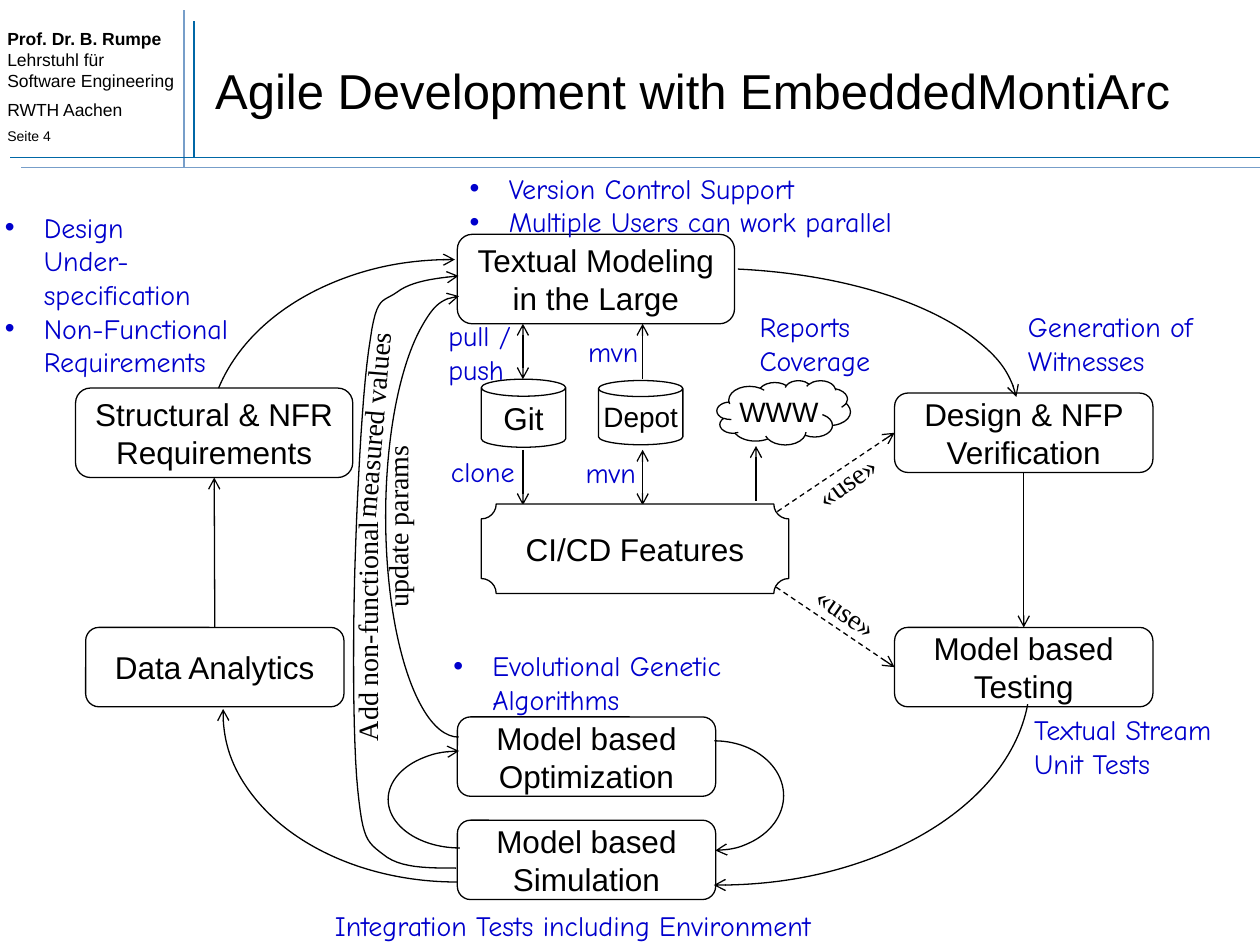
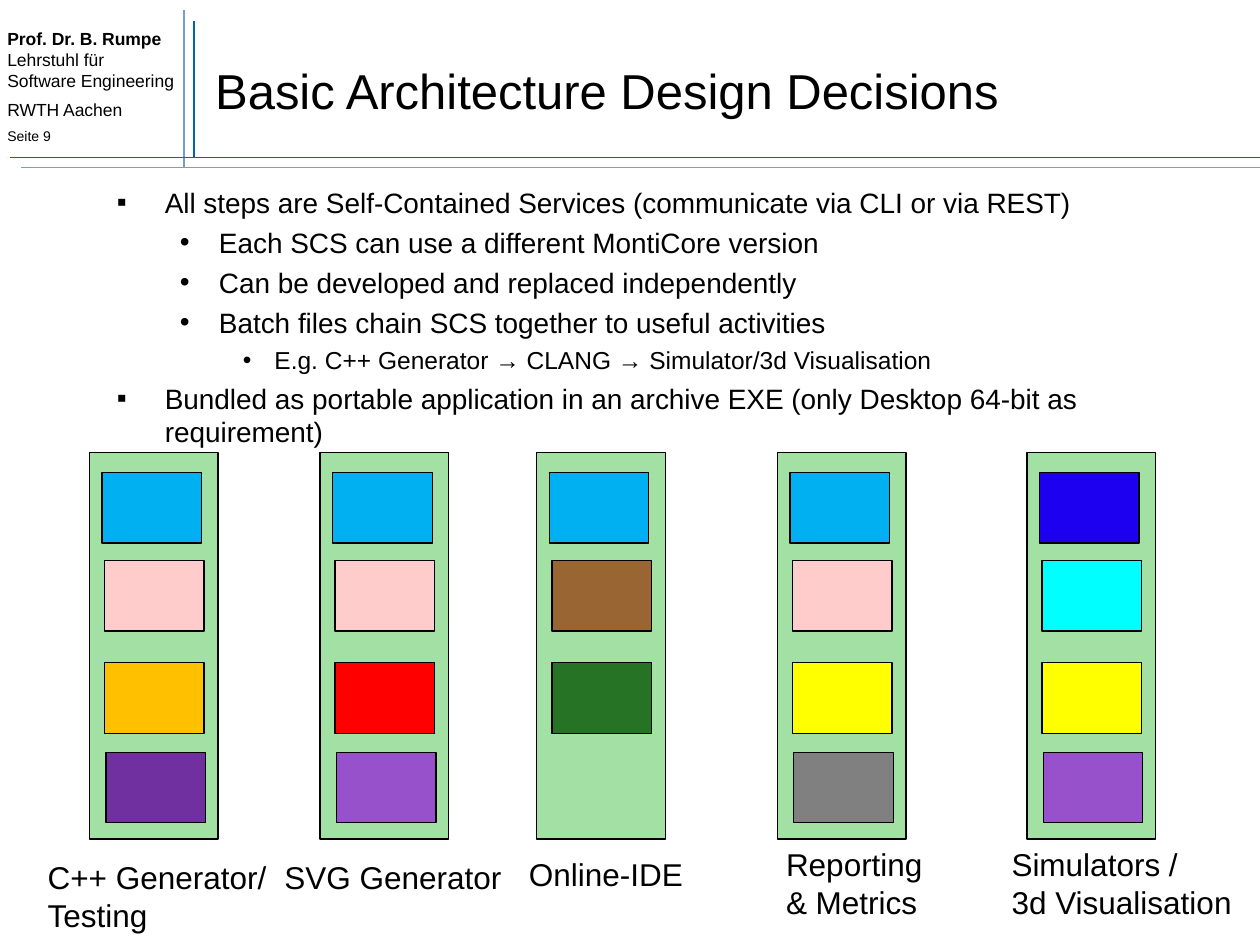
"""Build two lecture slides on agile modeling and its service design."""
import copy
from dataclasses import dataclass
from typing import Any, Optional

import lxml.etree
import pptx
import pptx.dml.color
import pptx.enum.dml
import pptx.enum.shapes
import pptx.enum.text
import pptx.oxml.ns
import pptx.util

HUES = {
    "ink": "000000", "white": "FFFFFF", "note": "0000CC",
    "deep": "0067A6", "pale": "779EC9", "frame": "A3E0A3",
    "sky": "00B0F0", "rose": "FFCCCC", "amber": "FFC000", "plum": "7030A0",
    "red": "FF0000", "lilac": "9751CB", "brown": "996633", "green": "267326",
    "yellow": "FFFF00", "gray": "808080", "blue": "1D00F0", "cyan": "00FFFF",
}
SANS, HAND, SERIF = "Arial", "Comic Neue", "Times New Roman"
KIND = pptx.enum.shapes.MSO_SHAPE
MID = pptx.enum.text.PP_ALIGN.CENTER
Point = tuple[float, float]
Area = tuple[float, float, float, float]


@dataclass
class Node:
    words: str
    at: Area
    kind: Any = KIND.ROUNDED_RECTANGLE
    size: int = 18
    wrap: bool = True
    fill: Optional[str] = None


@dataclass
class Note:
    words: tuple[str, ...]
    at: Area
    face: str = HAND
    hue: str = "note"
    size: int = 16
    turn: float = 0
    bullet: str = ""


@dataclass
class Arc:
    at: Area
    start: float
    end: float
    turn: int = 0


@dataclass
class Link:
    start: Point
    end: Point
    ends: str = "tail"
    dash: bool = False
    source: Optional[tuple[str, int]] = None
    target: Optional[tuple[str, int]] = None


@dataclass
class Stack:
    left: float
    tiles: tuple[str, ...]
    label: str
    at: Area


NODES = {
    "model": Node("Textual Modeling\nin the Large", (3.63, 1.86, 2.2, 0.71)),
    "test": Node("Model based Testing", (7.1, 4.98, 2.05, 0.63)),
    "needs": Node("Structural & NFR\nRequirements", (0.6, 3.08, 2.2, 0.71)),
    "run": Node("Model based Simulation", (3.63, 6.51, 2.05, 0.63)),
    "check": Node("Design & NFP Verification", (7.1, 3.12, 2.05, 0.63)),
    "tune": Node("Model based Optimization", (3.63, 5.69, 2.05, 0.63)),
    "data": Node("Data Analytics", (0.68, 4.98, 2.05, 0.63)),
    "depot": Node("Depot", (4.75, 3.02, 0.67, 0.51), KIND.CAN, 16, False),
    "git": Node("Git", (3.82, 3.01, 0.67, 0.54), KIND.CAN, 18, False),
    "web": Node("WWW", (5.69, 3.02, 1.06, 0.51), KIND.CLOUD, 16, False),
}
BUILD = Node("CI/CD Features", (3.82, 4, 2.44, 0.71), KIND.PLAQUE, fill="white")

ARCS = [
    Arc((5.12, 5.88, 1.1, 0.87), 162, 53.41),
    Arc((3.08, 5.96, 1.14, 0.77), 162, 53.41, 180),
    Arc((3.06, 2.35, 1.16, 3.5), 162, 54.05, 180),
    Arc((1.77, 4.32, 3.71, 2.68), 162, 0.62, 180),
    Arc((4.06, 2.91, 3.27, 4.96), 164.78, 0.62, 90),
    Arc((3.12, 2.13, 4.96, 2.27), 169.67, 214.41),
    Arc((2.14, 1.57, 2.89, 3.87), 169.75, 0.62, 270),
]

LINKS = [
    Link((1.7, 4.98), (1.7, 3.79), source=("data", 0), target=("needs", 2)),
    Link((8.13, 3.75), (8.13, 4.98), source=("check", 2), target=("test", 0)),
    Link((4.15, 2.57), (4.15, 3.01), "head tail"),
    Link((4.15, 3.57), (4.15, 4.01)),
    Link((5.1, 3.57), (5.1, 4.01), "head tail"),
    Link((5.1, 2.57), (5.1, 3.01), "head"),
    Link((6.11, 4.1), (7.1, 3.44), dash=True, target=("check", 1)),
    Link((6.1, 4.62), (7.1, 5.28), dash=True, target=("test", 1)),
    Link((6, 3.54), (6, 3.98), "head"),
]

CURVE = [
    (3.62, 6.89), (3.39, 6.89), (3.17, 6.89), (3.04, 6.78), (2.91, 6.68),
    (2.88, 6.66), (2.84, 6.27), (2.8, 5.87), (2.8, 5.02), (2.82, 4.42),
    (2.84, 3.82), (2.88, 3.04), (2.94, 2.69), (2.99, 2.34), (3.04, 2.4),
    (3.15, 2.32), (3.27, 2.23), (3.45, 2.21), (3.64, 2.19),
]

NOTES = [
    Note(("Version Control Support", "Multiple Users can work parallel"),
         (3.63, 1.31, 3.86, 0.64), bullet="•"),
    Note(("Textual Stream\nUnit Tests",), (8.11, 5.61, 1.93, 0.64)),
    Note(("Reports", "Coverage"), (5.93, 2.41, 1.15, 0.64)),
    Note(("Design\nUnder-\nspecification", "Non-Functional\nRequirements"),
         (-0.06, 1.62, 2.16, 1.45), bullet="•"),
    Note(("Generation of\nWitnesses",), (8.06, 2.41, 1.64, 0.64)),
    Note(("Evolutional Genetic\nAlgorithms",), (3.5, 5.1, 2.58, 0.64), bullet="•"),
    Note(("mvn",), (4.57, 2.61, 0.6, 0.37)),
    Note(("mvn",), (4.55, 3.57, 0.6, 0.37)),
    Note(("clone",), (3.48, 3.56, 0.74, 0.37)),
    Note(("pull /\npush",), (3.46, 2.48, 0.74, 0.64)),
    Note(("«use»",), (6.36, 3.63, 0.73, 0.37), SERIF, "ink", turn=324.1),
    Note(("«use»",), (6.36, 4.68, 0.73, 0.37), SERIF, "ink", turn=34.9),
    Note(("update params",), (2.4, 3.98, 1.51, 0.37), SERIF, "ink", turn=270),
    Note(("Add non-functional",), (1.93, 4.81, 1.97, 0.37), SERIF, "ink", turn=270),
    Note(("measured values",), (2.11, 3.17, 1.7, 0.37), SERIF, "ink", turn=274.7),
    Note(("Integration Tests including Environment",), (2.56, 7.16, 4.41, 0.37)),
]

POINTS = [
    (0, "All steps are Self-Contained Services (communicate via CLI or via REST)"),
    (1, "Each SCS can use a different MontiCore version"),
    (1, "Can be developed and replaced independently"),
    (1, "Batch files chain SCS together to useful activities"),
    (2, "E.g. C++ Generator → CLANG → Simulator/3d Visualisation"),
    (0, "Bundled as portable application in an archive EXE "
        "(only Desktop 64-bit as requirement)"),
]
LEVELS = [("▪", 0.38, 0.38, 16), ("•", 0.81, 0.31, 16), ("•", 1.25, 0.25, 14)]

STACKS = [
    Stack(0.71, ("sky", "rose", "amber", "plum"),
          "C++ Generator/\nTesting", (0.28, 6.76, 1.96, 0.71)),
    Stack(2.54, ("sky", "rose", "red", "lilac"),
          "SVG Generator", (2.16, 6.76, 1.94, 0.4)),
    Stack(4.26, ("sky", "brown", "green"),
          "Online-IDE", (4.1, 6.74, 1.44, 0.4)),
    Stack(6.17, ("sky", "rose", "yellow", "gray"),
          "Reporting\n& Metrics", (6.14, 6.66, 1.3, 0.71)),
    Stack(8.15, ("blue", "cyan", "yellow", "lilac"),
          "Simulators /\n3d Visualisation", (7.93, 6.66, 1.96, 0.71)),
]
SPOTS = [(0.1, 3.75), (0.12, 4.45), (0.12, 5.26), (0.13, 5.97)]


def inch(*sizes: float) -> list:
    return [pptx.util.Inches(size) for size in sizes]


def tint(name: str) -> Any:
    return pptx.dml.color.RGBColor.from_string(HUES[name])


def tag(base: Any, name: str, **values: str) -> None:
    lxml.etree.SubElement(base, pptx.oxml.ns.qn(name), **values)


def text(frame: Any, words: str, *, size: int = 16, face: str = SANS,
         hue: str = "ink", bold: bool = False, align: Any = None, gap: float = 0,
         bullet: str = "", left: float = 0, hang: float = 0, level: int = 0) -> None:
    first = frame.paragraphs[0]
    para = frame.add_paragraph() if first.runs else first
    para.text = words
    para.level = level
    if bullet:
        props = para._p.get_or_add_pPr()
        props.set("marL", str(pptx.util.Inches(left)))
        props.set("indent", str(pptx.util.Inches(-hang)))
        tag(props, "a:buFont", typeface=SANS)
        tag(props, "a:buChar", char=bullet)
    if para is not first:
        para.space_before = pptx.util.Pt(gap)
    if align is not None:
        para.alignment = align
    for run in para.runs:
        run.font.size, run.font.name = pptx.util.Pt(size), face
        run.font.bold = bold
        run.font.color.rgb = tint(hue)
    for mark in para._p.findall(pptx.oxml.ns.qn("a:br")):
        mark.append(copy.deepcopy(para.runs[0]._r.rPr))


def field(slide: Any, at: Area, wrap: bool = True) -> Any:
    box = slide.shapes.add_textbox(*inch(*at))
    box.text_frame.word_wrap = wrap
    return box


def stroke(line: Any, hue: str = "ink", width: float = 0.75,
           ends: str = "", dash: bool = False) -> None:
    line.color.rgb = tint(hue)
    line.width = pptx.util.Pt(width)
    if dash:
        line.dash_style = pptx.enum.dml.MSO_LINE.DASH
    for end in ends.split():
        tag(line._get_or_add_ln(), f"a:{end}End", type="arrow")


def style(shape: Any, fill: Optional[str] = None, ends: str = "") -> None:
    shape.shadow.inherit = False
    if fill:
        shape.fill.solid()
        shape.fill.fore_color.rgb = tint(fill)
    else:
        shape.fill.background()
    stroke(shape.line, ends=ends)


def join(slide: Any, start: Point, end: Point, **look: Any) -> Any:
    kind = pptx.enum.shapes.MSO_CONNECTOR.STRAIGHT
    line = slide.shapes.add_connector(kind, *inch(*start, *end))
    stroke(line.line, **look)
    tag(line._element.spPr, "a:effectLst")
    return line


def block(slide: Any, node: Node) -> Any:
    shape = slide.shapes.add_shape(node.kind, *inch(*node.at))
    style(shape, node.fill)
    shape.text_frame.word_wrap = node.wrap
    shape.text_frame.vertical_anchor = pptx.enum.text.MSO_ANCHOR.MIDDLE
    if node.words:
        text(shape.text_frame, node.words, size=node.size, align=MID)
    return shape


def label(slide: Any, note: Note) -> None:
    box = field(slide, note.at, False)
    box.text_frame.auto_size = pptx.enum.text.MSO_AUTO_SIZE.SHAPE_TO_FIT_TEXT
    box.rotation = note.turn
    for words in note.words:
        text(box.text_frame, words, size=note.size, face=note.face, hue=note.hue,
             bullet=note.bullet, left=0.31, hang=0.31)


def sweep(slide: Any, knots: list[Point], steps: int = 12) -> None:
    dots = [knots[0]]
    for i in range(0, len(knots) - 1, 3):
        for step in range(1, steps + 1):
            t = step / steps
            parts = ((1 - t) ** 3, 3 * t * (1 - t) ** 2, 3 * t * t * (1 - t), t ** 3)
            dots.append(tuple(sum(p * knot[axis] for p, knot in zip(parts, knots[i:i + 4]))
                              for axis in (0, 1)))
    path = slide.shapes.build_freeform(*inch(*dots[0]))
    path.add_line_segments([inch(*dot) for dot in dots[1:]], close=False)
    style(path.convert_to_shape(), ends="tail")


def start(deck: Any, title: str, page: int) -> Any:
    slide = deck.slides.add_slide(deck.slide_layouts[6])
    head = field(slide, (-0.04, 0.17, 1.53, 1.06)).text_frame
    text(head, "Prof. Dr. B. Rumpe", size=10, bold=True)
    text(head, "Lehrstuhl für Software Engineering", size=10)
    text(head, "RWTH Aachen", size=10, gap=5)
    text(head, f"Seite {page}", size=8, gap=4)
    join(slide, (1.54, 1.25), (1.54, 0.17), hue="deep", width=1)
    join(slide, (1.46, 1.33), (1.46, 0.08), hue="pale", width=1)
    join(slide, (0.08, 1.25), (10, 1.25), hue="deep", width=1)
    join(slide, (0.17, 1.33), (10, 1.33), hue="pale", width=1)
    frame = field(slide, (1.61, 0.25, 8.27, 0.92)).text_frame
    frame.vertical_anchor = pptx.enum.text.MSO_ANCHOR.MIDDLE
    text(frame, title, size=28)
    return slide


def cycle(deck: Any) -> None:
    slide = start(deck, "Agile Development with EmbeddedMontiArc", 4)
    nodes = {name: block(slide, node) for name, node in NODES.items()}
    for arc in ARCS:
        shape = slide.shapes.add_shape(KIND.ARC, *inch(*arc.at))
        shape.adjustments[0], shape.adjustments[1] = arc.start, arc.end
        shape.rotation = arc.turn
        style(shape, ends="tail")
    for link in LINKS:
        line = join(slide, link.start, link.end, ends=link.ends, dash=link.dash)
        if link.source:
            line.begin_connect(nodes[link.source[0]], link.source[1])
        if link.target:
            line.end_connect(nodes[link.target[0]], link.target[1])
    block(slide, BUILD)
    sweep(slide, CURVE)
    for note in NOTES:
        label(slide, note)


def design(deck: Any) -> None:
    slide = start(deck, "Basic Architecture Design Decisions", 9)
    frame = field(slide, (0.83, 1.42, 9, 5.92)).text_frame
    for level, words in POINTS:
        bullet, left, hang, size = LEVELS[level]
        text(frame, words, size=size, gap=3.7, bullet=bullet,
             left=left, hang=hang, level=level)
    for stack in STACKS:
        block(slide, Node("", (stack.left, 3.59, 1.02, 3.07), KIND.RECTANGLE, fill="frame"))
        for hue, (shift, top) in zip(stack.tiles, SPOTS):
            at = (stack.left + shift, top, 0.79, 0.56)
            block(slide, Node("", at, KIND.RECTANGLE, fill=hue))
        label(slide, Note((stack.label,), stack.at, SANS, "ink", 18))


def main() -> None:
    deck = pptx.Presentation()
    deck.slide_width, deck.slide_height = inch(10, 7.5)
    cycle(deck)
    design(deck)
    deck.save("out.pptx")


if __name__ == "__main__":
    main()
